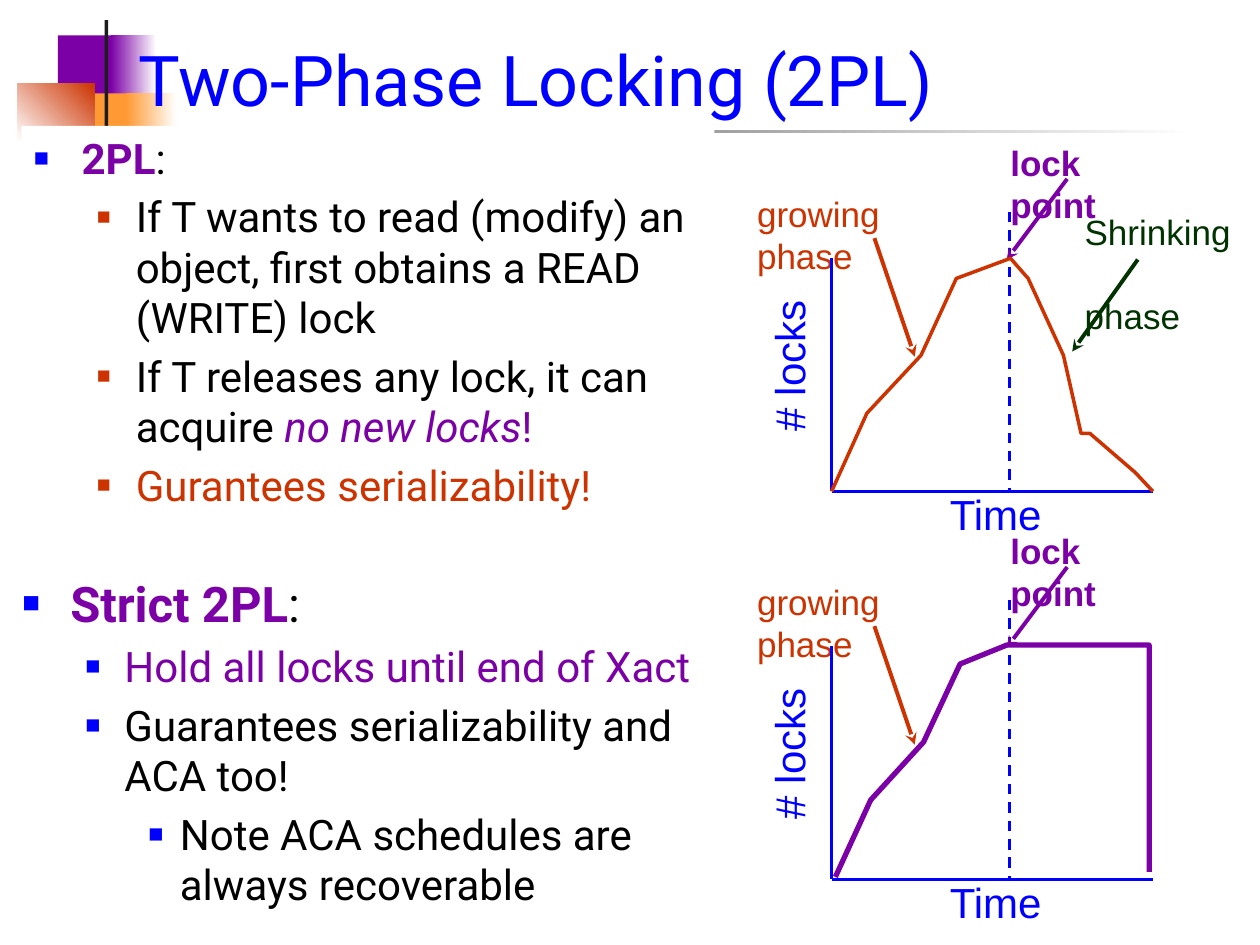
from lxml import etree
from pptx import Presentation
from pptx.dml.color import RGBColor
from pptx.enum.dml import MSO_LINE
from pptx.enum.shapes import MSO_CONNECTOR, MSO_SHAPE
from pptx.enum.text import MSO_ANCHOR, MSO_AUTO_SIZE, PP_ALIGN
from pptx.oxml.ns import qn
from pptx.util import Inches, Pt

RECT, LINE = MSO_SHAPE.RECTANGLE, MSO_CONNECTOR.STRAIGHT
DASH, LEFT = MSO_LINE.DASH, PP_ALIGN.LEFT
MIDDLE, TOP, FIXED = MSO_ANCHOR.MIDDLE, MSO_ANCHOR.TOP, MSO_AUTO_SIZE.NONE
BLUE = RGBColor(0x00, 0x00, 0xFF)
PURPLE = RGBColor(0x7B, 0x00, 0xA6)
RED = RGBColor(0xCC, 0x33, 0x00)
GREEN = RGBColor(0x00, 0x33, 0x00)
ORANGE = RGBColor(0xFF, 0x99, 0x33)
DARK = RGBColor(0x1C, 0x1C, 0x1C)
BLACK = RGBColor(0, 0, 0)
WHITE = RGBColor(255, 255, 255)
TEXT, LABEL = "Roboto", "Arial"
BOLD, ITALIC = {"bold": True}, {"italic": True}

TITLE = "Two-Phase Locking (2PL)"
# box, fill colours (two make a gradient), angle
DECOR = [
    ((0.46, 0.28, 0.48, 0.52), [PURPLE], 0),
    ((0.88, 0.28, 0.36, 0.52), [PURPLE, WHITE], 0),
    ((0.59, 0.74, 0.46, 0.52), [ORANGE], 0),
    ((1.0, 0.74, 0.4, 0.52), [ORANGE, WHITE], 0),
    ((0.14, 0.66, 0.61, 0.46), [WHITE, RED], 45),
    ((0.83, 0.16, 0.03, 1.15), [DARK], 0),
    ((0.48, 1.03, 9, 0.03), [DARK, WHITE], 0),
]
# level, size, bullet colour, bullet percent, runs
BASIC = [
    (0, 24, BLUE, 60, [("2PL", PURPLE, BOLD), (":", BLACK, {})]),
    (1, 24, RED, 55, [("If T wants to read (modify) an object, first "
                       "obtains a READ (WRITE) lock", BLACK, {})]),
    (1, 24, RED, 55, [("If T releases any lock, it can acquire ", BLACK, {}),
                      ("no new locks", PURPLE, ITALIC), ("!", PURPLE, {})]),
    (1, 24, RED, 55, [("Gurantees serializability!", RED, {})]),
]
STRICT = [
    (0, 28, BLUE, 60, [("Strict 2PL", PURPLE, BOLD), (":", BLACK, {})]),
    (1, 24, BLUE, 60, [("Hold all locks until end of Xact", PURPLE, {})]),
    (1, 24, BLUE, 60, [("Guarantees serializability and ACA too!", BLACK, {})]),
    (2, 24, BLUE, 60, [("Note ACA schedules are always recoverable", BLACK, {})]),
]
INDENT = [(0.38, -0.38), (0.81, -0.31), (1.25, -0.25)]

# Plot parts, placed for the upper plot
LABELS = [
    ((7.44, 3.83, 0.94, 0.5), ["Time"], 24, BLUE, {}, 0),
    ((5.64, 2.65, 1.24, 0.5), ["# locks"], 24, BLUE, {}, 270),
    ((5.91, 1.48, 2.01, 0.43), ["growing\vphase"], 20, RED, {}, 0),
    ((7.92, 1.07, 1.51, 0.43), ["lock\vpoint"], 20, PURPLE, BOLD, 0),
]
SHRINK = ((8.51, 1.62, 1.5, 0.77), ["Shrinking", "phase"], 20, GREEN, {}, 0)
AXES = [
    ((6.6, 2.05, 6.6, 3.9), BLUE, 1.5, None, False),
    ((6.6, 3.9, 9.15, 3.9), BLUE, 1.5, None, False),
    ((8.01, 1.68, 8.01, 3.9), BLUE, 1.5, DASH, False),
]
ARROWS = [
    ((6.94, 1.89, 7.26, 2.83), RED, 2.25, None, True),
    ((8.47, 1.42, 7.99, 2.06), PURPLE, 2.25, None, True),
]
FALL = ((9.03, 2.06, 8.51, 2.79), GREEN, 2.25, None, True)
# Curve points in hundredths of an inch
RISE_FALL = [(660, 390), (688, 328), (731, 282), (759, 221), (802, 205),
             (816, 221), (844, 282), (858, 344), (865, 344), (901, 375),
             (915, 390)]
RISE_HOLD = [(663, 696), (691, 635), (733, 589), (762, 527), (799, 512),
             (912, 512), (912, 692)]
# vertical shift, labels, lines, curve, curve colour, curve width
PLOTS = [
    (0, LABELS + [SHRINK], AXES + ARROWS + [FALL], RISE_FALL, RED, 2),
    (3.08, LABELS, AXES + ARROWS, RISE_HOLD, PURPLE, 3),
]


def style(run, font, size, color, extra):
    """Set the font values of a run."""
    for key, val in {"name": font, "size": Pt(size), **extra}.items():
        setattr(run.font, key, val)
    run.font.color.rgb = color


def add_box(box, wrap):
    """Add a text box of fixed size."""
    shape = slide.shapes.add_textbox(*map(Inches, box))
    for key, val in {"word_wrap": wrap, "auto_size": FIXED,
                     "vertical_anchor": TOP}.items():
        setattr(shape.text_frame, key, val)
    return shape


def add_decor(box, fills, angle):
    """Add a plain or fading bar."""
    shape = slide.shapes.add_shape(RECT, *map(Inches, box))
    shape.shadow.inherit = False
    shape.line.fill.background()
    if len(fills) == 1:
        shape.fill.solid()
        shape.fill.fore_color.rgb = fills[0]
        return
    shape.fill.gradient()
    shape.fill.gradient_angle = angle
    for stop, color in zip(shape.fill.gradient_stops, fills):
        stop.color.rgb = color


def add_bullet(para, level, color, share):
    """Give a paragraph its indent and square bullet."""
    props = para._p.get_or_add_pPr()
    for key, val in zip(("marL", "indent"), INDENT[level]):
        props.set(key, str(Inches(val)))
    tint = etree.SubElement(props, qn("a:buClr"))
    etree.SubElement(tint, qn("a:srgbClr"), val=str(color))
    etree.SubElement(props, qn("a:buSzPct"), val=str(share * 1000))
    etree.SubElement(props, qn("a:buFont"), typeface=LABEL)
    etree.SubElement(props, qn("a:buChar"), char="\u25a0")


def add_list(box, items):
    """Add a bulleted list and return its shape."""
    shape = add_box(box, True)
    frame = shape.text_frame
    for num, (level, size, color, share, runs) in enumerate(items):
        para = frame.add_paragraph() if num else frame.paragraphs[0]
        para.level = level
        para.space_before = Pt(size * 0.2)
        add_bullet(para, level, color, share)
        for text, tint, extra in runs:
            run = para.add_run()
            run.text = text
            style(run, TEXT, size, tint, extra)
    return shape


def add_label(box, lines, size, color, extra, turn, drop):
    """Add a plot label; a second line stands one line lower."""
    left, top, wide, high = box
    shape = add_box((left, top + drop, wide, high), False)
    shape.rotation = turn
    frame = shape.text_frame
    frame.text = "\n".join(lines)
    for num, para in enumerate(frame.paragraphs):
        para.alignment = LEFT
        para.space_before = Pt(24 * num)
        for run in para.runs:
            style(run, LABEL, size, color, extra)


def add_line(ends, color, width, dash, arrow, drop):
    """Add an axis or an arrow."""
    x1, y1, x2, y2 = ends
    line = slide.shapes.add_connector(
        LINE, *map(Inches, (x1, y1 + drop, x2, y2 + drop)))
    line.line.color.rgb = color
    line.line.width = Pt(width)
    if dash:
        line.line.dash_style = dash
    props = line.element.spPr
    if arrow:
        etree.SubElement(props.find(qn("a:ln")), qn("a:tailEnd"), type="stealth")
    etree.SubElement(props, qn("a:effectLst"))


def add_curve(points, color, width):
    """Add the open curve of held locks."""
    pen = slide.shapes.build_freeform(*points[0], scale=Inches(0.01))
    pen.add_line_segments(points[1:], close=False)
    shape = pen.convert_to_shape()
    shape.shadow.inherit = False
    shape.fill.background()
    shape.line.color.rgb = color
    shape.line.width = Pt(width)


deck = Presentation()
deck.slide_width, deck.slide_height = Inches(10), Inches(7.5)
slide = deck.slides.add_slide(deck.slide_layouts[5])

for bar in DECOR:
    add_decor(*bar)

title = slide.shapes.title
for key, val in zip(("left", "top", "width", "height"), (1, 0, 8.83, 1.25)):
    setattr(title, key, Inches(val))
title.text_frame.text = TITLE
title.text_frame.vertical_anchor = MIDDLE
head = title.text_frame.paragraphs[0]
head.alignment = LEFT
style(head.runs[0], TEXT, 40, BLUE, {})
slide.shapes._spTree.append(title.element)

basic = add_list((0.17, 1, 5.5, 3.33), BASIC)
basic.fill.solid()
basic.fill.fore_color.rgb = WHITE
add_list((0.08, 4.5, 6, 2.75), STRICT)

for drop, labels, lines, curve, color, width in PLOTS:
    for label in labels:
        add_label(*label, drop)
    for line in lines:
        add_line(*line, drop)
    add_curve(curve, color, width)

deck.save("out.pptx")
